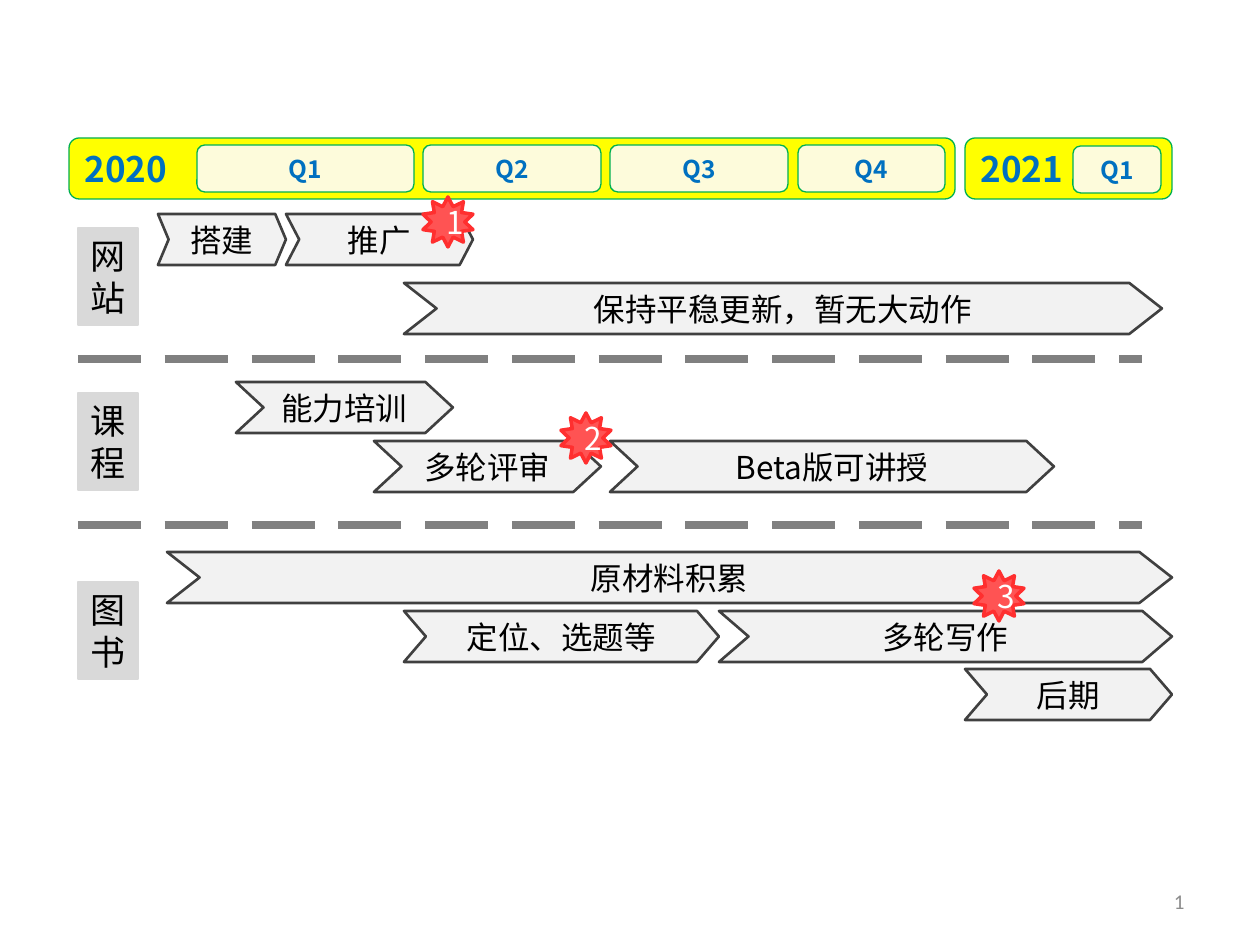
"""Build a quarterly roadmap slide with site, course and book tracks."""
from lxml import etree
from pptx import Presentation, util as u
from pptx.dml.color import RGBColor
from pptx.enum import dml, shapes, text
from pptx.oxml.ns import qn

SCALE = 914400 / 126
CJK = "Noto Sans CJK SC"
HUES = {
    "yellow": "FFFF00", "cream": "FDFBDB", "green": "00B050", "blue": "0070C0",
    "pale": "F2F2F2", "dark": "404040", "tag": "D9D9D9", "black": "000000",
    "red": "FF5353", "edge": "FF2F2F", "white": "FFFFFF",
    "rule": "808080", "page": "8C8C8C",
}
YEARS = [("2020", 69, 886), ("2021", 965, 207)]
TERMS = [("Q1", 197, 145, 217), ("Q2", 423, 145, 178), ("Q3", 610, 145, 178),
         ("Q4", 798, 145, 147), ("Q1", 1073, 146, 88)]
TRACKS = [("网\n站", 228), ("课\n程", 393), ("图\n书", 582)]
TASKS = [
    ("搭建", 158, 214, 128, 0.21),
    ("推广", 286, 214, 187, 0.26),
    ("保持平稳更新，暂无大动作", 404, 283, 758, 0.64),
    ("能力培训", 236, 382, 217, 0.54),
    ("多轮评审", 374, 441, 227, 0.54),
    ("Beta版可讲授", 610, 441, 444, 0.54),
    ("原材料积累", 167, 552, 1005, 0.64),
    ("定位、选题等", 404, 611, 315, 0.43),
    ("多轮写作", 719, 611, 453, 0.58),
    ("后期", 965, 669, 207, 0.43),
]
MARKS = [("1", 423, 197), ("2", 561, 413), ("3", 974, 571)]
RULES = [359, 525]


def px(size):
    return u.Emu(round(size * SCALE))


def hue(name):
    return RGBColor.from_string(HUES[name])


def write(shape, words, size=18, color="black", bold=False, align="CENTER", face=CJK):
    frame = shape.text_frame
    frame.word_wrap = True
    frame.vertical_anchor = text.MSO_ANCHOR.MIDDLE
    frame.text = words
    for para in frame.paragraphs:
        para.alignment = text.PP_ALIGN[align]
        for run in para.runs:
            font = run.font
            font.name, font.size, font.bold = face, u.Pt(size), bold
            font.color.rgb = hue(color)
            etree.SubElement(run._r.get_or_add_rPr(), qn("a:ea"), typeface=face)


class Board:
    def __init__(self, slide):
        self.slide = slide

    def shape(self, kind, box, fill, line, width=0.75, adj=None):
        item = self.slide.shapes.add_shape(
            shapes.MSO_SHAPE[kind], *[px(side) for side in box])
        item.shadow.inherit = False
        item.fill.solid()
        item.fill.fore_color.rgb = hue(fill)
        item.line.color.rgb = hue(line)
        item.line.width = u.Pt(width)
        if adj is not None:
            item.adjustments[0] = adj
        return item

    def year(self, words, x, w):
        item = self.shape("FLOWCHART_ALTERNATE_PROCESS", (x, 138, w, 61), "yellow", "green")
        write(item, words, size=20, color="blue", bold=True, align="LEFT")

    def term(self, words, x, y, w):
        item = self.shape("FLOWCHART_ALTERNATE_PROCESS", (x, y, w, 47), "cream", "green")
        write(item, words, size=14, color="blue", bold=True)

    def track(self, words, y):
        item = self.shape("CHEVRON", (78, y, 60, 97), "tag", "tag", adj=0)
        write(item, words, size=20)

    def task(self, words, x, y, w, adj):
        item = self.shape("CHEVRON", (x, y, w, 51), "pale", "dark", 1.5, adj)
        write(item, words)

    def mark(self, words, x, y):
        item = self.shape("STAR_10_POINT", (x, y, 50, 50), "red", "edge", 2, 0.32)
        write(item, words, color="white")

    def rule(self, y):
        line = self.slide.shapes.add_connector(
            shapes.MSO_CONNECTOR.STRAIGHT, px(78), px(y), px(1142), px(y))
        line.line.color.rgb = hue("rule")
        line.line.width = u.Pt(4.5)
        line.line.dash_style = dml.MSO_LINE.LONG_DASH
        etree.SubElement(line._element.spPr, qn("a:effectLst"))

    def page(self, words):
        item = self.slide.shapes.add_textbox(px(1102), px(876), px(95), px(50))
        write(item, words, size=12, color="page", align="RIGHT", face="Calibri")


def main():
    deck = Presentation()
    deck.slide_width, deck.slide_height = px(1260), px(945)
    board = Board(deck.slides.add_slide(deck.slide_layouts[6]))
    for draw, rows in ((board.year, YEARS), (board.term, TERMS), (board.track, TRACKS),
                       (board.task, TASKS), (board.mark, MARKS)):
        for row in rows:
            draw(*row)
    for y in RULES:
        board.rule(y)
    board.page("1")
    deck.save("out.pptx")


if __name__ == "__main__":
    main()
